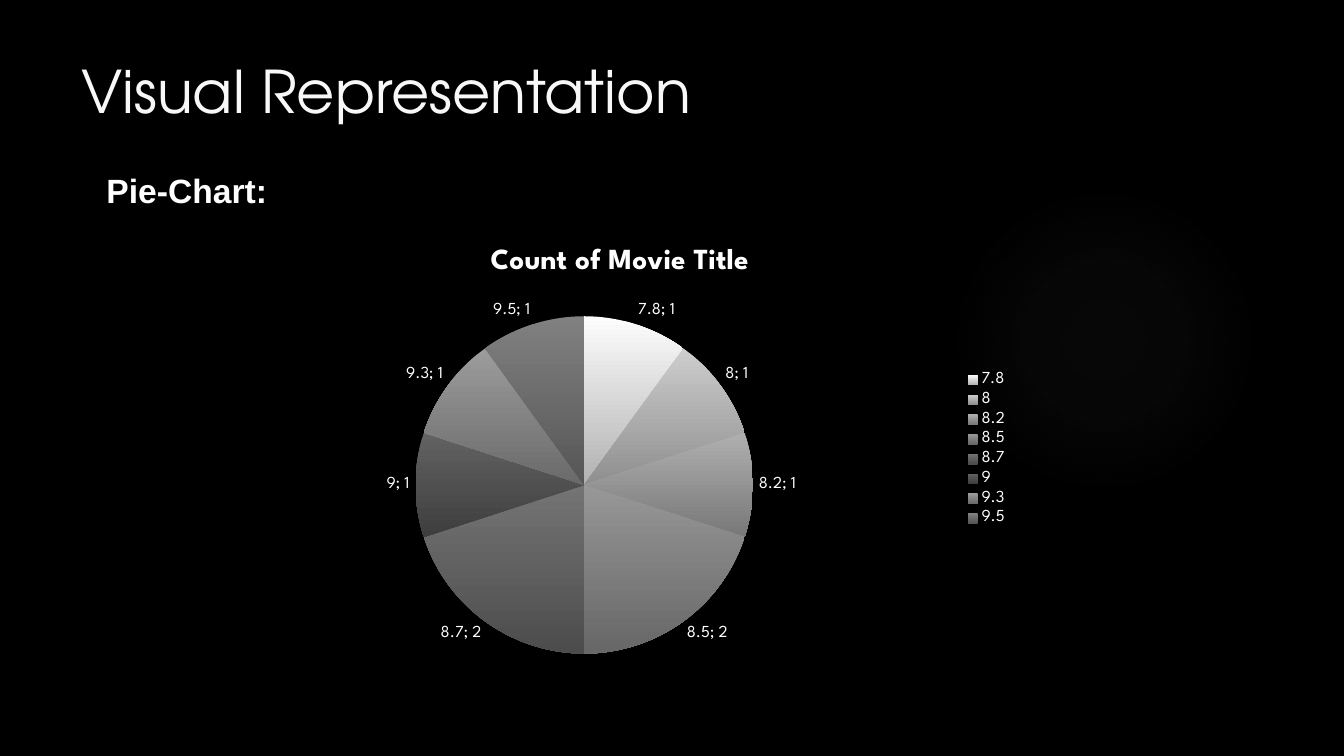
from copy import deepcopy

from lxml import etree
from pptx import Presentation
from pptx.chart.data import CategoryChartData
from pptx.dml.color import RGBColor
from pptx.enum.chart import XL_CHART_TYPE, XL_LABEL_POSITION, XL_LEGEND_POSITION
from pptx.enum.shapes import MSO_SHAPE
from pptx.enum.text import MSO_ANCHOR
from pptx.oxml import parse_xml
from pptx.oxml.ns import nsdecls, qn
from pptx.util import Pt

COLOURS = {"black": "000000", "white": "FFFFFF", "title": "F8F8F8", "glow": "666666"}
CHART_FONT = "League Spartan"
RATINGS = ["7.8", "8", "8.2", "8.5", "8.7", "9", "9.3", "9.5"]
MOVIE_COUNTS = [1, 1, 1, 2, 2, 1, 1, 1]
SERIES_NAMES = ["Series 1", "Series 2"]
SLICE_GRADIENTS = [
    ("FDFDFD", "B1B1B1"), ("CDCDCD", "8F8F8F"), ("AFAFAF", "787878"), ("979797", "676767"),
    ("747474", "4C4C4C"), ("626262", "3E3E3E"), ("9C9C9C", "6A6A6A"), ("808080", "565656"),
]
GLOW_STOPS = [(0, 7), (36, 6), (69, 0)]


def style_font(font, name, size, colour, bold=False):
    font.name = name
    font.size = Pt(size)
    font.bold = bold
    font.color.rgb = RGBColor.from_string(COLOURS[colour])


def add_glow(page, left, top, diameter):
    """Add a circle whose fill fades out from its centre."""
    glow = page.shapes.add_shape(MSO_SHAPE.OVAL, Pt(left), Pt(top), Pt(diameter), Pt(diameter))
    glow.shadow.inherit = False
    glow.line.fill.background()
    gradient = parse_xml(f'<a:gradFill {nsdecls("a")}><a:gsLst/></a:gradFill>')
    for position, opacity in GLOW_STOPS:
        stop = etree.SubElement(gradient[0], qn("a:gs"), pos=str(position * 1000))
        colour = etree.SubElement(stop, qn("a:srgbClr"), val=COLOURS["glow"])
        etree.SubElement(colour, qn("a:alpha"), val=str(opacity * 1000))
    shade = etree.SubElement(gradient, qn("a:path"), path="circle")
    etree.SubElement(shade, qn("a:fillToRect"), {side: "50000" for side in "ltrb"})
    glow.element.spPr.find(qn("a:prstGeom")).addnext(gradient)


def add_text(page, text, left, top, width, height, font, size, colour, bold=False):
    box = page.shapes.add_textbox(Pt(left), Pt(top), Pt(width), Pt(height))
    frame = box.text_frame
    frame.word_wrap = True
    frame.vertical_anchor = MSO_ANCHOR.MIDDLE
    para = frame.paragraphs[0]
    para.line_spacing = 0.9
    span = para.add_run()
    span.text = text
    style_font(span.font, font, size, colour, bold)


def add_second_series(plot):
    """Add the series in workbook column C, as a new pie gets only its first series."""
    first = plot.series[0]._element
    second = deepcopy(first)
    first.addnext(second)
    for tag in ("c:idx", "c:order"):
        second.find(qn(tag)).set("val", "1")
    for tag in ("c:tx", "c:val"):
        formula = second.find(qn(tag)).find(".//" + qn("c:f"))
        formula.text = formula.text.replace("$B$", "$C$")
    second.find(qn("c:tx")).find(".//" + qn("c:v")).text = SERIES_NAMES[1]


def style_series(series):
    for index, shades in enumerate(SLICE_GRADIENTS):
        slice_format = series.points[index].format
        slice_format.line.fill.background()
        fill = slice_format.fill
        fill.gradient()
        fill.gradient_angle = 270
        for stop, shade in zip(fill.gradient_stops, shades):
            stop.color.rgb = RGBColor.from_string(shade)
    labels = series.data_labels
    style_font(labels.font, CHART_FONT, 12, "white")
    labels.show_category_name = True
    labels.show_value = True
    labels.show_percentage = False
    labels.position = XL_LABEL_POSITION.OUTSIDE_END


def add_pie(page, title, left, top, width, height):
    data = CategoryChartData()
    data.categories = RATINGS
    for name in SERIES_NAMES:
        data.add_series(name, MOVIE_COUNTS)
    chart = page.shapes.add_chart(
        XL_CHART_TYPE.PIE, Pt(left), Pt(top), Pt(width), Pt(height), data).chart
    style_font(chart.font, CHART_FONT, 10, "white")
    chart.has_title = True
    span = chart.chart_title.text_frame.paragraphs[0].add_run()
    span.text = title
    style_font(span.font, CHART_FONT, 20.8, "white", bold=True)
    chart.has_legend = True
    chart.legend.position = XL_LEGEND_POSITION.RIGHT
    chart.legend.include_in_layout = False
    style_font(chart.legend.font, CHART_FONT, 12, "white")
    plot = chart.plots[0]
    plot.vary_by_categories = True
    add_second_series(plot)
    for series in plot.series:
        style_series(series)


def main():
    deck = Presentation()
    deck.slide_width, deck.slide_height = Pt(960), Pt(540)
    page = deck.slides.add_slide(deck.slide_layouts[6])
    page.background.fill.solid()
    page.background.fill.fore_color.rgb = RGBColor.from_string(COLOURS["black"])
    add_glow(page, 677.5, 131.8, 221.8)
    add_text(page, "Visual Representation", 51, 30.3, 741, 75, "TeX Gyre Adventor", 42, "title")
    add_text(page, "Pie-Chart:", 69, 115.3, 704, 44, "Arial", 24, "white", bold=True)
    add_pie(page, "Count of Movie Title", 157.7, 161.3, 570.2, 319)
    deck.save("out.pptx")


if __name__ == "__main__":
    main()
